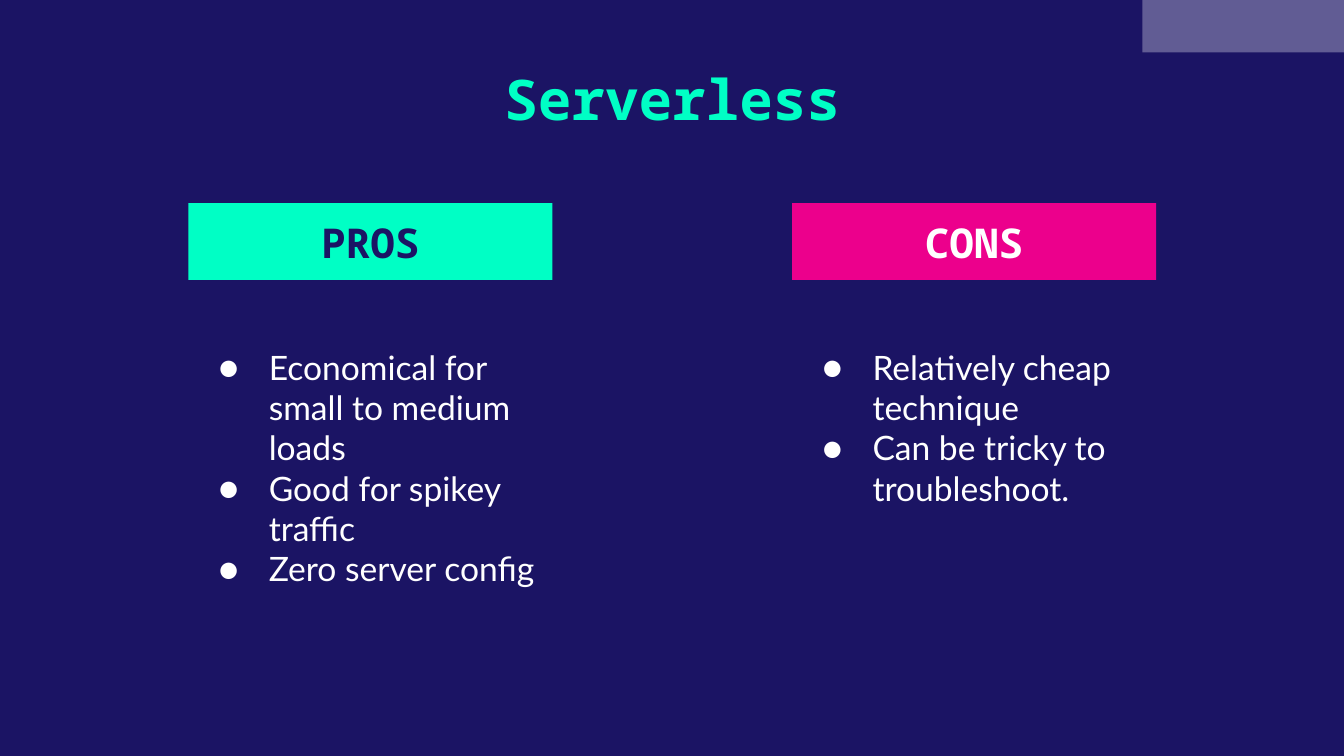
import lxml.etree
import pptx
import pptx.dml.color
import pptx.enum.shapes
import pptx.enum.text
import pptx.oxml.ns
import pptx.util

Cm = pptx.util.Cm
COLORS = {"navy": "1B1464", "mint": "00FFC5", "pink": "EC008C", "white": "FFFFFF"}
HEADING_FONT = "Noto Sans Mono"
BODY_FONT = "Lato"


def paint(fill, color):
    fill.solid()
    fill.fore_color.rgb = pptx.dml.color.RGBColor.from_string(COLORS[color])


def add_child(parent, tag, **attributes):
    child = lxml.etree.SubElement(parent, pptx.oxml.ns.qn(tag))
    for name, value in attributes.items():
        child.set(name, value)
    return child


def place(shape, box):
    shape.left, shape.top, shape.width, shape.height = (Cm(length) for length in box)


def prepare_text(shape, anchor):
    frame = shape.text_frame
    frame.word_wrap = True
    frame.auto_size = pptx.enum.text.MSO_AUTO_SIZE.NONE
    frame.vertical_anchor = anchor
    frame.margin_left = frame.margin_right = Cm(0.25)
    frame.margin_top = frame.margin_bottom = Cm(0.25)
    return frame


def add_span(para, text, font, size, color, bold):
    para.space_before = pptx.util.Pt(0)
    span = para.add_run()
    span.text = text
    span.font.name = font
    span.font.size = pptx.util.Pt(size)
    span.font.bold = bold
    paint(span.font.fill, color)


def write_heading(shape, box, text, size, color, anchor):
    place(shape, box)
    para = prepare_text(shape, anchor).paragraphs[0]
    para.alignment = pptx.enum.text.PP_ALIGN.CENTER
    add_span(para, text, HEADING_FONT, size, color, True)


def write_list(shape, box, items):
    place(shape, box)
    frame = prepare_text(shape, pptx.enum.text.MSO_ANCHOR.TOP)
    for number, item in enumerate(items):
        para = frame.add_paragraph() if number else frame.paragraphs[0]
        add_span(para, item, BODY_FONT, 18, "white", False)
        # Hanging bullet
        properties = para._p.get_or_add_pPr()
        properties.set("marL", str(Cm(1.27)))
        properties.set("indent", str(Cm(-0.95)))
        bullet_color = add_child(properties, "a:buClr")
        add_child(bullet_color, "a:srgbClr", val=COLORS["white"])
        add_child(properties, "a:buFont", typeface=BODY_FONT)
        add_child(properties, "a:buChar", char="●")


def draw_corner(page, box):
    corner = page.shapes.add_shape(
        pptx.enum.shapes.MSO_SHAPE.RECTANGLE, *(Cm(length) for length in box))
    corner.shadow.inherit = False
    paint(corner.fill, "white")
    corner.line.fill.background()
    solid_color = corner._element.spPr.find(".//" + pptx.oxml.ns.qn("a:srgbClr"))
    add_child(solid_color, "a:alpha", val="31000")


def fill_column(heading, body, box, text, fill, color, items):
    left, top, width, height = box
    write_heading(heading, (left, top, width, 1.45), text, 22, color,
                  pptx.enum.text.MSO_ANCHOR.BOTTOM)
    paint(heading.fill, fill)
    list_offset = 2.46
    write_list(body, (left, top + list_offset, width, height - list_offset), items)


def build_comparison(deck):
    page = deck.slides.add_slide(deck.slide_layouts.get_by_name("Comparison"))
    paint(page.background.fill, "navy")
    holders = {holder.placeholder_format.idx: holder for holder in page.placeholders}

    # Corner block and title
    draw_corner(page, (21.59, 0, 3.81, 0.99))
    left, width = 3.56, 18.29
    write_heading(holders[0], (left, 0.97, width, 1.85), "Serverless", 30, "mint",
                  pptx.enum.text.MSO_ANCHOR.TOP)

    # Columns flush with both edges of the title
    column_width = 6.88
    fill_column(holders[1], holders[2], (left, 3.84, column_width, 9.37),
                "PROS", "mint", "navy",
                ["Economical for small to medium loads",
                 "Good for spikey traffic",
                 "Zero server config"])
    fill_column(holders[3], holders[4],
                (left + width - column_width, 3.84, column_width, 9.17),
                "CONS", "pink", "white",
                ["Relatively cheap technique",
                 "Can be tricky to troubleshoot."])

    # Unused footer placeholders
    for index, holder in holders.items():
        if index > 4:
            holder._element.getparent().remove(holder._element)


def main():
    deck = pptx.Presentation()
    deck.slide_width, deck.slide_height = Cm(25.4), Cm(14.29)
    build_comparison(deck)
    deck.save("out.pptx")


if __name__ == "__main__":
    main()
